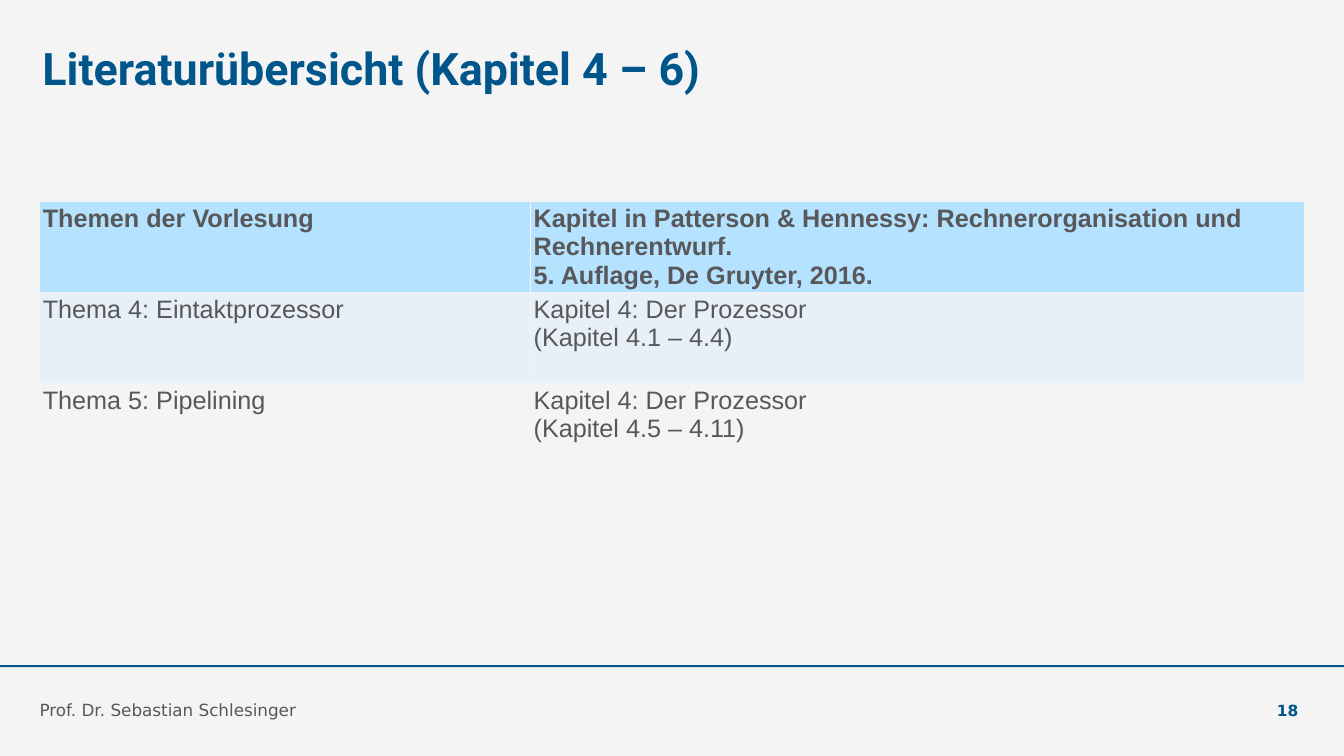
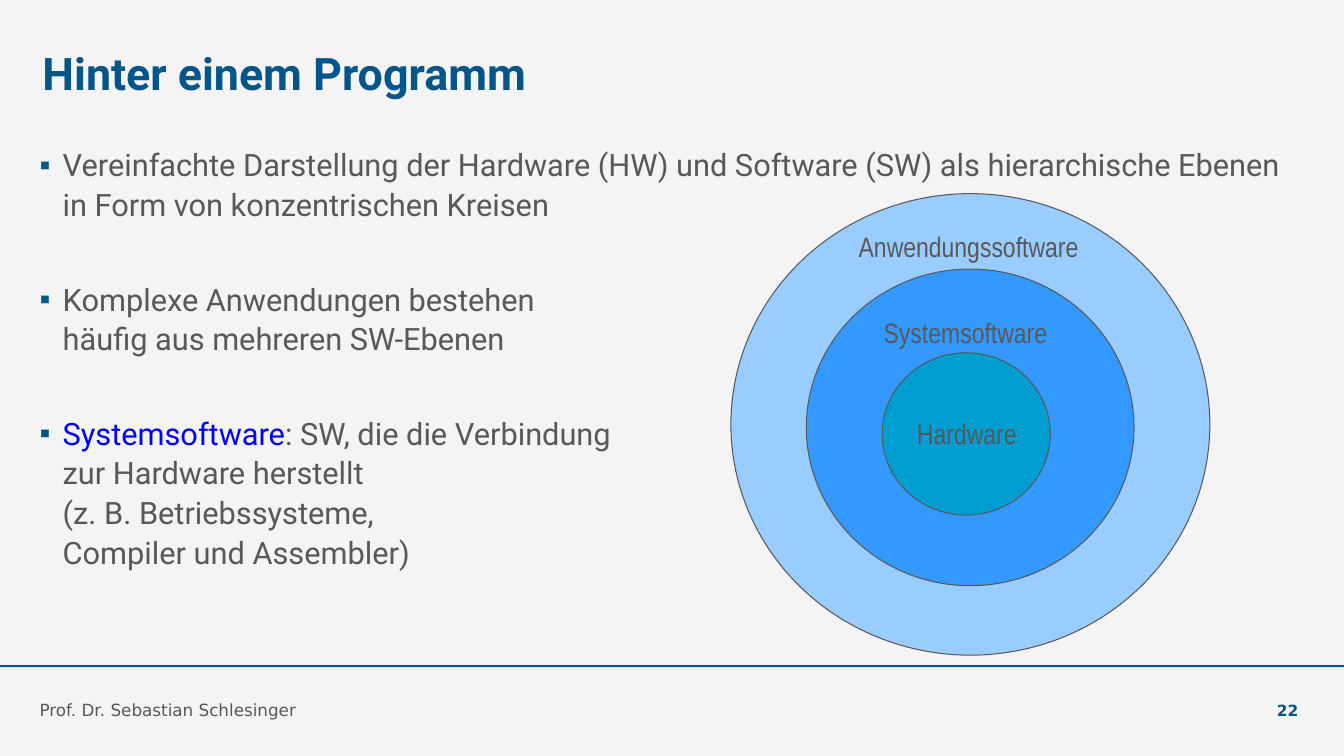
from copy import deepcopy

from lxml.etree import SubElement
from pptx import Presentation
from pptx.dml.color import RGBColor as RGB
from pptx.enum.shapes import MSO_SHAPE as SHAPE
from pptx.enum.text import MSO_ANCHOR as ANCHOR, MSO_AUTO_SIZE as AUTO, PP_ALIGN as ALIGN
from pptx.oxml.ns import qn
from pptx.util import Cm, Pt

COLORS = {
    "bg": "F4F4F4", "blue": "00568A", "text": "58585A", "term": "0000FF",
    "head": "B5E3FF", "band": "E7EFF7",
    "outer": "99CCFF", "middle": "3399FF", "core": "009DD1",
}


def rgb(name):
    return RGB.from_string(COLORS[name])


def put(p, text, size=18, font="Arial", color="text", bold=False):
    for i, line in enumerate(text.split("\n")):
        if i:
            p.add_line_break()
            p._p[-1].append(deepcopy(r._r.rPr))
        r = p.add_run()
        r.text = line
        r.font.size, r.font.name, r.font.bold = Pt(size), font, bold
        r.font.color.rgb = rgb(color)


class Deck:
    """Holds the presentation style and the slide being filled."""

    TITLE = dict(size=32, font="Roboto", color="blue", bold=True)
    BODY = dict(size=22, font="Roboto")
    LABEL = dict(size=20, font="Arial Narrow")
    LEFT, WIDTH = 1, 31.88

    def __init__(self):
        self.prs = Presentation()
        self.prs.slide_width, self.prs.slide_height = Cm(33.87), Cm(19.05)
        fill = self.prs.slide_master.background.fill
        fill.solid()
        fill.fore_color.rgb = rgb("bg")

    def slide(self, title, number, layout, anchor=ANCHOR.TOP):
        self.s = self.prs.slides.add_slide(self.prs.slide_layouts[layout])
        self.shape(SHAPE.RECTANGLE, 0, 16.76, 33.87, 0.05, "blue")
        tf = self.frame(self.s.shapes.title, 1.07, 1.02, 21.16, 1.6, anchor)
        tf.paragraphs[0].alignment = ALIGN.LEFT
        put(tf.paragraphs[0], title, **self.TITLE)
        self.footer("Prof. Dr. Sebastian Schlesinger", self.LEFT, 23.37, ALIGN.LEFT, size=12)
        self.footer(str(number), 30.56, 2.16, ALIGN.RIGHT, size=11, color="blue", bold=True)

    def frame(self, sp, x, y, w, h, anchor=ANCHOR.TOP):
        sp.left, sp.top, sp.width, sp.height = Cm(x), Cm(y), Cm(w), Cm(h)
        tf = sp.text_frame
        tf.margin_left = tf.margin_right = tf.margin_top = tf.margin_bottom = 0
        tf.auto_size, tf.word_wrap, tf.vertical_anchor = AUTO.NONE, True, anchor
        return tf

    def footer(self, text, x, w, align, **fmt):
        sp = self.s.shapes.add_textbox(0, 0, 0, 0)
        tf = self.frame(sp, x, 17.15, w, 0.99, ANCHOR.BOTTOM)
        tf.paragraphs[0].alignment = align
        put(tf.paragraphs[0], text, font="DejaVu Sans", **fmt)

    def shape(self, kind, x, y, w, h, fill, line=None):
        sp = self.s.shapes.add_shape(kind, Cm(x), Cm(y), Cm(w), Cm(h))
        sp.shadow.inherit = False
        sp.fill.solid()
        sp.fill.fore_color.rgb = rgb(fill)
        if line:
            sp.line.color.rgb, sp.line.width = rgb(line), Pt(0.75)
        else:
            sp.line.fill.background()

    def label(self, text, x, y, w, h):
        tf = self.s.shapes.add_textbox(Cm(x), Cm(y), Cm(w), Cm(h)).text_frame
        tf.word_wrap, tf.auto_size = False, AUTO.SHAPE_TO_FIT_TEXT
        put(tf.paragraphs[0], text, **self.LABEL)

    def bullets(self, items):
        tf = self.frame(self.s.placeholders[1], self.LEFT, 3.61, self.WIDTH, 12.34)
        for i, runs in enumerate(items):
            p = tf.add_paragraph() if i else tf.paragraphs[0]
            pPr = p._p.get_or_add_pPr()
            pPr.set("marL", str(Cm(0.58)))
            pPr.set("indent", str(-Cm(0.58)))
            SubElement(SubElement(pPr, qn("a:buClr")), qn("a:srgbClr"), val=COLORS["blue"])
            SubElement(pPr, qn("a:buFont"), typeface="Arial")
            SubElement(pPr, qn("a:buChar"), char="▪")
            p.line_spacing, p.space_before = 1.08, Pt(38.8 if i else 0)
            for text, color in runs:
                put(p, text, color=color, **self.BODY)

    def table(self, y, widths, heights, fills, rows):
        tbl = self.s.shapes.add_table(len(rows), len(widths), Cm(self.LEFT), Cm(y),
                                      Cm(self.WIDTH), Cm(sum(heights))).table
        tbl.horz_banding = False
        for col, w in zip(tbl.columns, widths):
            col.width = Cm(w)
        for i, (row, h, fill, texts) in enumerate(zip(tbl.rows, heights, fills, rows)):
            row.height = Cm(h)
            for cell, text in zip(row.cells, texts):
                self.cell(cell, text, fill, bold=i == 0)

    def cell(self, cell, text, fill, bold):
        cell.margin_left = cell.margin_right = cell.margin_top = cell.margin_bottom = Cm(0.08)
        tcPr = cell._tc.get_or_add_tcPr()
        for side in ("lnL", "lnR", "lnT", "lnB"):
            ln = SubElement(tcPr, qn("a:" + side), w=str(Pt(1)))
            SubElement(SubElement(ln, qn("a:solidFill")), qn("a:srgbClr"), val=COLORS["bg"])
        cell.fill.solid()
        cell.fill.fore_color.rgb = rgb(fill)
        put(cell.text_frame.paragraphs[0], text, bold=bold)


def main():
    d = Deck()

    d.slide("Literaturübersicht (Kapitel 4 – 6)", 18, layout=5)
    d.table(5.08, (12.37, 19.51), (2.26, 2.29, 2.87), ("head", "band", "bg"), [
        ("Themen der Vorlesung",
         "Kapitel in Patterson & Hennessy: Rechnerorganisation und Rechnerentwurf.\n"
         "5. Auflage, De Gruyter, 2016."),
        ("Thema 4: Eintaktprozessor", "Kapitel 4: Der Prozessor\n(Kapitel 4.1 – 4.4)"),
        ("Thema 5: Pipelining", "Kapitel 4: Der Prozessor\n(Kapitel 4.5 – 4.11)"),
    ])

    d.slide("Hinter einem Programm", 22, layout=1, anchor=ANCHOR.MIDDLE)
    d.bullets([
        [("Vereinfachte Darstellung der Hardware (HW) und Software (SW) als hierarchische "
          "Ebenen in Form von konzentrischen Kreisen", "text")],
        [("Komplexe Anwendungen bestehen\nhäufig aus mehreren SW-Ebenen", "text")],
        [("Systemsoftware", "term"),
         (": SW, die die Verbindung\nzur Hardware herstellt\n"
          "(z. B. Betriebssysteme,\nCompiler und Assembler)", "text")],
    ])
    for fill, *box in (("outer", 18.42, 4.88, 12.07, 11.63),
                       ("middle", 20.32, 6.78, 8.26, 7.98),
                       ("core", 22.23, 8.89, 4.24, 4.09)):
        d.shape(SHAPE.OVAL, *box, fill, line="text")
    d.label("Hardware", 22.86, 10.36, 3.15, 1.09)
    d.label("Systemsoftware", 22.02, 7.82, 4.67, 1.12)
    d.label("Anwendungssoftware", 21.39, 5.66, 6.1, 1.12)

    d.prs.save("out.pptx")


if __name__ == "__main__":
    main()
